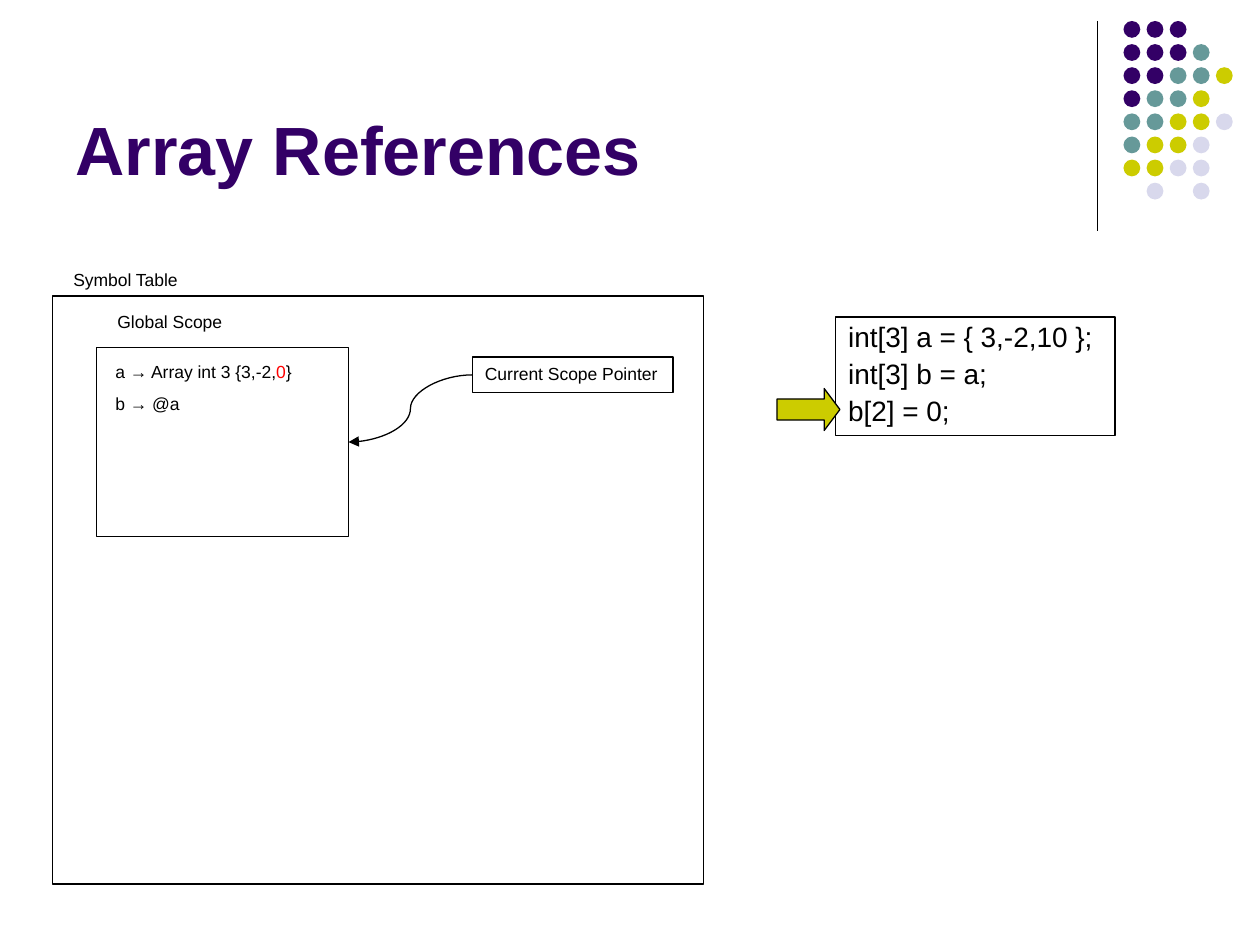
from typing import NamedTuple

from pptx import Presentation
from pptx.dml.color import RGBColor
from pptx.enum.shapes import MSO_CONNECTOR as Wire, MSO_SHAPE as Form
from pptx.enum.text import MSO_ANCHOR as Anchor, PP_ALIGN as Align
from pptx.oxml import parse_xml
from pptx.oxml.ns import nsdecls, qn
from pptx.util import Inches, Pt

BLACK = RGBColor(0, 0, 0)
RED = RGBColor(0xFF, 0, 0)
PURPLE = RGBColor(0x33, 0, 0x66)
TEAL = RGBColor(0x66, 0x99, 0x99)
LIME = RGBColor(0xCC, 0xCC, 0)
PALE = RGBColor(0xD8, 0xD8, 0xEC)

FONT = "Arial"
THIN = Pt(0.75)
COLS, ROWS = 120, 90  # the slide's grid, twelve cells to the inch

DOTS = ("PPP", "PPPT", "PPTTL", "PTTL", "TTLLG", "TLLG", "LLGG", " G G")
HUES = {"P": PURPLE, "T": TEAL, "L": LIME, "G": PALE}
STEP, DOT = 2.2, 1.6


class Box(NamedTuple):
    """A place on the grid: column, row, columns wide, rows high."""
    col: float
    row: float
    wide: float
    high: float


class Label(NamedTuple):
    box: Box
    lines: tuple  # a part between bars is red
    size: int = 10
    edge: bool = False
    wrap: bool = False


TITLE = Box(6, 1.6, 99, 17)
TABLE = Box(5, 28.2, 62, 56)
SCOPE = Box(9.2, 33.1, 24, 18)
ARROW = Box(74, 37, 6, 4)

POINTER = Label(Box(45, 34, 19.1, 3.4), ("Current Scope Pointer",), edge=True)
LABELS = (
    Label(Box(10, 29, 12.4, 3.2), ("Global Scope",)),
    Label(Box(5.8, 25, 12.6, 3.2), ("Symbol Table",)),
    Label(Box(9.8, 33.8, 22.2, 3.2), ("a → Array int 3 {3,-2,|0|}",), wrap=True),
    Label(Box(9.8, 36.8, 22.2, 3.2), ("b → @a",), wrap=True),
    Label(Box(79.6, 30.2, 26.6, 11.3),
          ("int[3] a = { 3,-2,10 };", "int[3] b = a;", "b[2] = 0;"),
          size=16, edge=True),
)

deck = Presentation()
deck.slide_width, deck.slide_height = Inches(10), Inches(7.5)
slide = deck.slides.add_slide(deck.slide_layouts[5])
shapes = slide.shapes


def across(cols: float) -> int:
    return round(deck.slide_width * cols / COLS)


def down(rows: float) -> int:
    return round(deck.slide_height * rows / ROWS)


def spot(box: Box) -> tuple:
    return across(box.col), down(box.row), across(box.wide), down(box.high)


def outline(shape) -> None:
    shape.line.color.rgb = BLACK
    shape.line.width = THIN


def form(kind: Form, box: Box, fill: RGBColor | None = None, edge: bool = True):
    shape = shapes.add_shape(kind, *spot(box))
    shape.shadow.inherit = False
    if fill is None:
        shape.fill.background()
    else:
        shape.fill.solid()
        shape.fill.fore_color.rgb = fill
    if edge:
        outline(shape)
    else:
        shape.line.fill.background()
    return shape


def wire(kind: Wire, *ends: int):
    line = shapes.add_connector(kind, *ends)
    outline(line)
    line._element.spPr.append(parse_xml(f"<a:effectLst {nsdecls('a')}/>"))
    return line


def style(font, size: int, hue: RGBColor, bold: bool = False) -> None:
    font.name, font.size, font.bold = FONT, Pt(size), bold
    font.color.rgb = hue


def write(label: Label):
    shape = shapes.add_textbox(*spot(label.box))
    if label.edge:
        outline(shape)
    frame = shape.text_frame
    frame.word_wrap = label.wrap
    for i, line in enumerate(label.lines):
        para = frame.add_paragraph() if i else frame.paragraphs[0]
        if len(label.lines) > 1:
            para.line_spacing = 0.9
            para.space_before = Pt(4 if i else 0)
        for j, part in enumerate(line.split("|")):
            run = para.add_run()
            run.text = part
            style(run.font, label.size, RED if j % 2 else BLACK)
    return shape


def head(text: str) -> None:
    title = shapes.title
    title.left, title.top, title.width, title.height = spot(TITLE)
    frame = title.text_frame
    frame.text = text
    frame.vertical_anchor = Anchor.BOTTOM
    para = frame.paragraphs[0]
    para.alignment = Align.LEFT
    style(para.runs[0].font, 39, PURPLE, bold=True)


def corner() -> None:
    """Draw the rule and the dots at the top right."""
    wire(Wire.STRAIGHT, across(104.5), down(2), across(104.5), down(22))
    for i, row in enumerate(DOTS):
        for j, key in enumerate(row):
            if key in HUES:
                box = Box(107 + j * STEP, 2 + i * STEP, DOT, DOT)
                form(Form.OVAL, box, HUES[key], edge=False)


def link(start, end) -> None:
    """Join the left side of start to the right side of end."""
    line = wire(Wire.CURVE, 0, 0, 0, 0)
    line.begin_connect(start, 1)
    line.end_connect(end, 3)
    tip = parse_xml(f'<a:tailEnd {nsdecls("a")} type="triangle"/>')
    line._element.spPr.find(qn("a:ln")).append(tip)


def main() -> None:
    corner()
    head("Array References")
    form(Form.RECTANGLE, TABLE)
    scope = form(Form.RECTANGLE, SCOPE)
    link(write(POINTER), scope)
    for label in LABELS:
        write(label)
    arrow = form(Form.RIGHT_ARROW, ARROW, LIME)
    arrow.adjustments[1] = 0.375
    deck.save("out.pptx")


if __name__ == "__main__":
    main()
